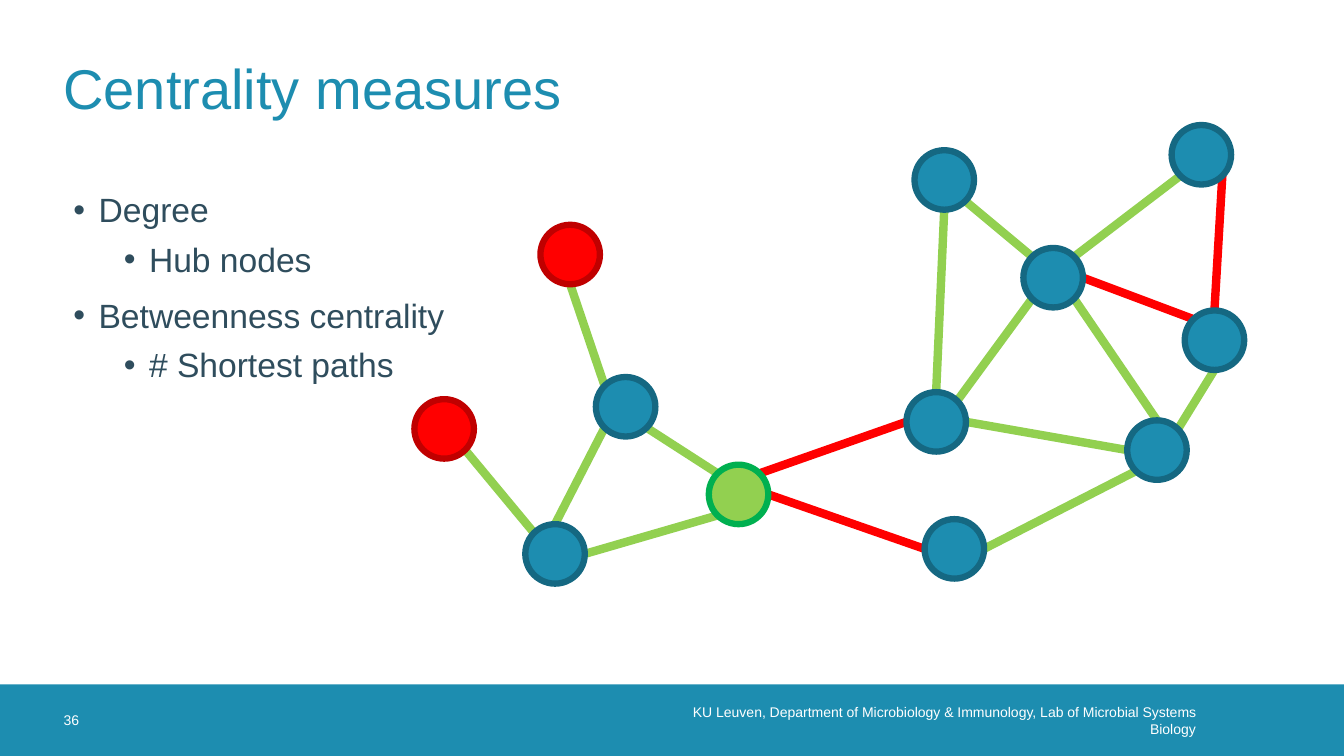
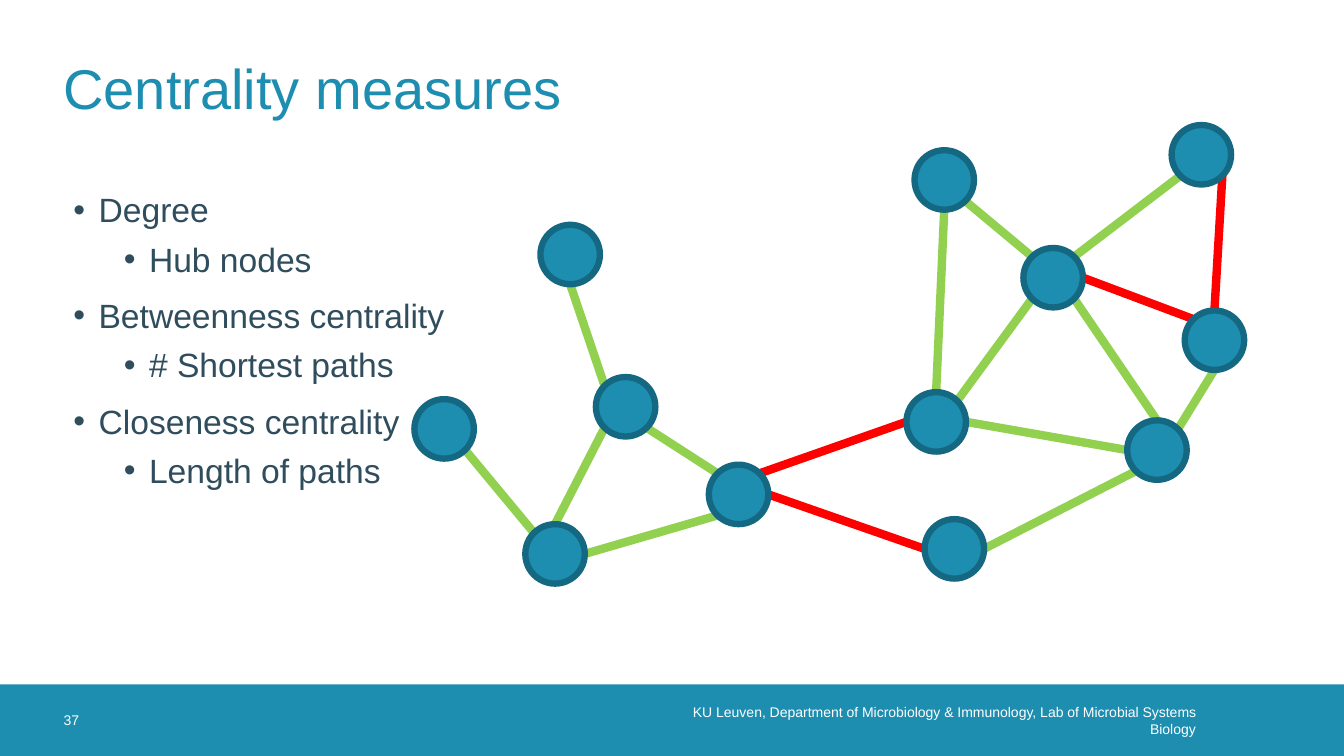
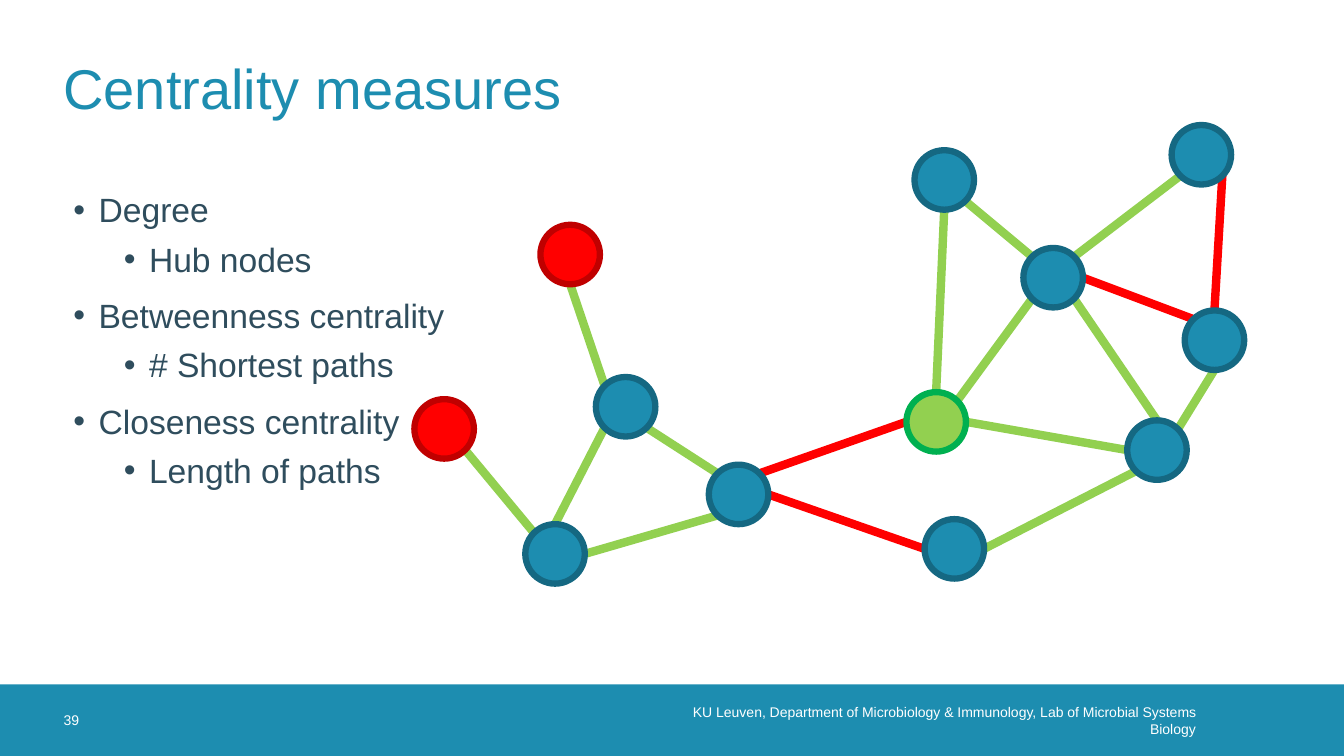
from math import cos, radians, sin

from lxml.etree import SubElement
from pptx import Presentation
from pptx.dml.color import RGBColor
from pptx.enum.shapes import MSO_CONNECTOR as Connector, MSO_SHAPE as Preset
from pptx.enum.text import MSO_ANCHOR as Anchor, PP_ALIGN as Align
from pptx.oxml.ns import qn
from pptx.util import Inches, Pt

TITLE = "Centrality measures"
FOOTER = "KU Leuven, Department of Microbiology & Immunology, Lab of Microbial Systems Biology"

MEASURES = [
    ("Degree", "Hub nodes"),
    ("Betweenness centrality", "# Shortest paths"),
    ("Closeness centrality", "Length of paths"),
]

SLIDES = [
    {"number": 36, "measures": 2,
     "roles": {"west leaf": "far", "north leaf": "far", "bridge": "central"}},
    {"number": 37, "measures": 3, "roles": {}},
    {"number": 39, "measures": 3,
     "roles": {"west leaf": "far", "north leaf": "far", "gateway": "central"}},
]

NODES = {
    "west leaf": (4.11, 3.96),
    "south hub": (5.21, 5.2),
    "east": (11.75, 3.08),
    "bridge": (7.03, 4.61),
    "north leaf": (5.36, 2.23),
    "north hub": (5.91, 3.74),
    "south": (9.17, 5.15),
    "gateway": (8.99, 3.89),
    "north": (9.07, 1.49),
    "centre": (10.15, 2.46),
    "southeast": (11.18, 4.17),
    "northeast": (11.62, 1.24),
}

EDGES = [
    ("centre", "SE", "southeast", "N", "positive"),
    ("centre", "SW", "gateway", "NE", "positive"),
    ("west leaf", "SE", "south hub", "NW", "positive"),
    ("north leaf", "S", "north hub", "NW", "positive"),
    ("north hub", "SW", "south hub", "N", "positive"),
    ("north hub", "SE", "bridge", "NW", "positive"),
    ("bridge", "SW", "south hub", "E", "positive"),
    ("bridge", "NE", "gateway", "W", "negative"),
    ("bridge", "E", "south", "W", "negative"),
    ("gateway", "N", "north", "S", "positive"),
    ("south", "E", "southeast", "SW", "positive"),
    ("gateway", "E", "southeast", "W", "positive"),
    ("north", "SE", "centre", "NW", "positive"),
    ("east", "S", "southeast", "NE", "positive"),
    ("centre", "E", "east", "NW", "negative"),
    ("northeast", "SE", "east", "N", "negative"),
    ("northeast", "SW", "centre", "NE", "positive"),
]

THEME = {
    "font": "Arial",
    "colours": {"accent": "1D8DB0", "body": "2F4D5D", "light": "FFFFFF",
                "positive": "92D050", "negative": "FF0000"},
    "roles": {"plain": ("1D8DB0", "156882"), "far": ("FF0000", "C00000"),
              "central": ("92D050", "00B050")},
    "sizes": {"title": 40, "body": 24, "footer": 10},
    "lines": {"edge": 6, "node": 4.5},
}

WIDTH, HEIGHT = 13.33, 7.5
MARGIN = 0.63
CONTENT_WIDTH = WIDTH - 2 * MARGIN
BAND = 0.71
BAND_TOP = HEIGHT - BAND
DIAMETER = 0.59
PORTS = {name: radians(45 * step)
         for step, name in enumerate(("E", "SE", "S", "SW", "W", "NW", "N", "NE"))}
LEVELS = [
    {"indent": 0.25, "space": 10},
    {"indent": 0.75, "space": 5},
]
HANGING = 0.25


def colour(value):
    return RGBColor.from_string(value)


def apply(target, values):
    for name, value in values.items():
        setattr(target, name, value)


def style_font(paragraph, size, shade):
    apply(paragraph.font, {"name": THEME["font"], "size": Pt(THEME["sizes"][size])})
    paragraph.font.color.rgb = colour(THEME["colours"][shade])


def add_text_frame(slide, box, insets=(0, 0, 0, 0), anchor=Anchor.MIDDLE):
    frame = slide.shapes.add_textbox(*map(Inches, box)).text_frame
    sides = ("margin_left", "margin_top", "margin_right", "margin_bottom")
    apply(frame, {"word_wrap": True, "vertical_anchor": anchor,
                  **dict(zip(sides, map(Inches, insets)))})
    return frame


def add_label(slide, text, box, size, shade, align=Align.LEFT, insets=(0, 0, 0, 0)):
    paragraph = add_text_frame(slide, box, insets).paragraphs[0]
    apply(paragraph, {"text": text, "alignment": align})
    style_font(paragraph, size, shade)


def add_filled_shape(slide, preset, box, fill):
    shape = slide.shapes.add_shape(preset, *map(Inches, box))
    shape.shadow.inherit = False
    shape.fill.solid()
    shape.fill.fore_color.rgb = colour(fill)
    return shape


def add_frame(slide, number):
    band = add_filled_shape(slide, Preset.RECTANGLE, (0, BAND_TOP, WIDTH, BAND),
                            THEME["colours"]["accent"])
    band.line.fill.background()
    add_label(slide, FOOTER, (6.6, BAND_TOP, 5.46, BAND), "footer", "light",
              Align.RIGHT, (0, 0, 0.2, 0))
    add_label(slide, str(number), (MARGIN, BAND_TOP, BAND, BAND), "footer", "light")
    add_label(slide, TITLE, (MARGIN, 0.23, CONTENT_WIDTH, 1.26), "title", "accent")


def add_bullets(slide, measures):
    frame = add_text_frame(slide, (MARGIN, 1.81, CONTENT_WIDTH, 4.88),
                           (0.1, 0.05, 0.1, 0.05), Anchor.TOP)
    items = [item for pair in measures for item in enumerate(pair)]
    for index, (level, text) in enumerate(items):
        paragraph = frame.add_paragraph() if index else frame.paragraphs[0]
        properties = paragraph._p.get_or_add_pPr()
        properties.set("marL", str(Inches(LEVELS[level]["indent"])))
        properties.set("indent", str(Inches(-HANGING)))
        SubElement(properties, qn("a:buFont")).set("typeface", THEME["font"])
        SubElement(properties, qn("a:buChar")).set("char", "•")
        apply(paragraph, {"text": text, "level": level, "line_spacing": 1.05,
                          "space_before": Pt(LEVELS[level]["space"] if index else 0)})
        style_font(paragraph, "body", "body")


def port_position(node, port):
    left, top = NODES[node]
    radius = DIAMETER / 2
    return (left + radius * (1 + cos(PORTS[port])),
            top + radius * (1 + sin(PORTS[port])))


def add_network(slide, roles):
    for start, start_port, end, end_port, sign in EDGES:
        points = port_position(start, start_port) + port_position(end, end_port)
        edge = slide.shapes.add_connector(Connector.STRAIGHT, *map(Inches, points))
        edge.line.width = Pt(THEME["lines"]["edge"])
        edge.line.color.rgb = colour(THEME["colours"][sign])
        SubElement(edge._element.spPr, qn("a:effectLst"))
    for name, position in NODES.items():
        fill, outline = THEME["roles"][roles.get(name, "plain")]
        node = add_filled_shape(slide, Preset.OVAL, (*position, DIAMETER, DIAMETER), fill)
        node.line.width = Pt(THEME["lines"]["node"])
        node.line.color.rgb = colour(outline)


def main():
    presentation = Presentation()
    apply(presentation, {"slide_width": Inches(WIDTH), "slide_height": Inches(HEIGHT)})
    for content in SLIDES:
        slide = presentation.slides.add_slide(presentation.slide_layouts[6])
        add_frame(slide, content["number"])
        add_bullets(slide, MEASURES[:content["measures"]])
        add_network(slide, content["roles"])
    presentation.save("out.pptx")


if __name__ == "__main__":
    main()
